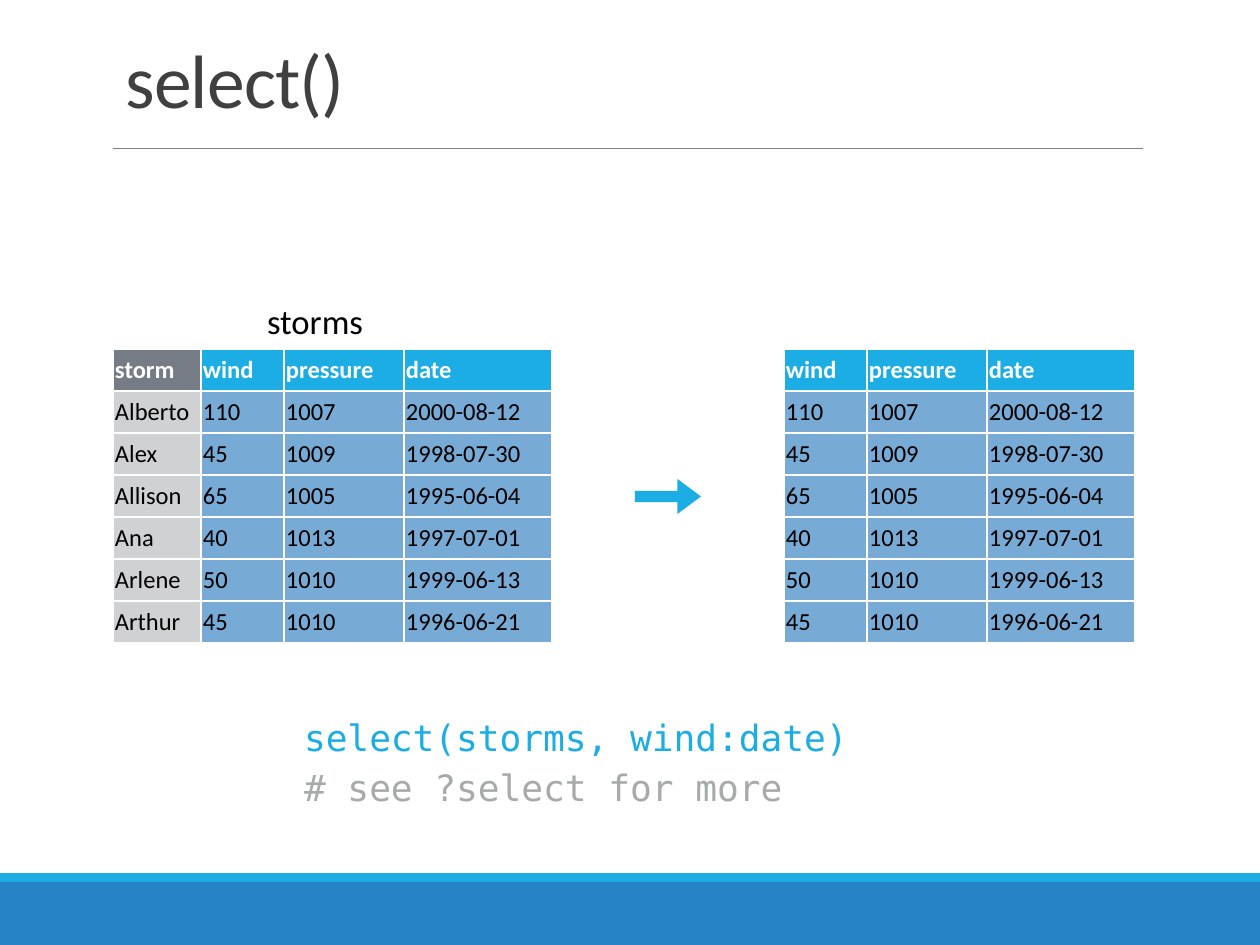
from lxml.etree import SubElement
from pptx import Presentation
from pptx.dml.color import RGBColor
from pptx.enum.shapes import MSO_CONNECTOR, MSO_SHAPE
from pptx.enum.text import MSO_ANCHOR, PP_ALIGN
from pptx.oxml.ns import qn
from pptx.util import Emu, Pt

EMU_PER_PX = 914400 / 126
SANS, MONO = "Calibri", "DejaVu Sans Mono"
CYAN, BLUE, PALE_BLUE = "1CADE4", "2683C6", "78AAD6"
DARK_GRAY, PALE_GRAY = "767C85", "D0D1D2"
WHITE, BLACK = "FFFFFF", "000000"

COLUMN_WIDTHS = [88, 83, 120, 148]
ROW_HEIGHT = 42
STORMS = [
    ["storm", "wind", "pressure", "date"],
    ["Alberto", "110", "1007", "2000-08-12"],
    ["Alex", "45", "1009", "1998-07-30"],
    ["Allison", "65", "1005", "1995-06-04"],
    ["Ana", "40", "1013", "1997-07-01"],
    ["Arlene", "50", "1010", "1999-06-13"],
    ["Arthur", "45", "1010", "1996-06-21"],
]


def px(length):
    return Emu(round(length * EMU_PER_PX))


def color(value):
    return RGBColor.from_string(value)


def add_span(para, text, size, font, ink, bold=False):
    span = para.add_run()
    span.text = text
    span.font.size = Pt(size)
    span.font.name = font
    span.font.bold = bold
    span.font.color.rgb = color(ink)
    return span


def add_block(page, kind, left, top, width, height, fill):
    block = page.shapes.add_shape(kind, px(left), px(top), px(width), px(height))
    block.shadow.inherit = False
    block.fill.solid()
    block.fill.fore_color.rgb = color(fill)
    block.line.fill.background()
    return block


def add_rule(page, left, right, y):
    rule = page.shapes.add_connector(
        MSO_CONNECTOR.STRAIGHT, px(left), px(y), px(right), px(y))
    rule.line.color.rgb = color("808080")
    rule.line.width = Pt(0.5)
    SubElement(rule._element.spPr, qn("a:effectLst"))


def add_text_frame(page, left, top, width, height, anchor, inset=None):
    box = page.shapes.add_textbox(px(left), px(top), px(width), px(height))
    frame = box.text_frame
    frame.word_wrap = True
    frame.vertical_anchor = anchor
    if inset is not None:
        frame.margin_left = frame.margin_right = px(inset)
        frame.margin_top = frame.margin_bottom = px(inset)
    return frame


def style_cell(cell, text, fill, ink, bold):
    cell.vertical_anchor = MSO_ANCHOR.MIDDLE
    cell.margin_left = cell.margin_right = px(2)
    cell.margin_top = cell.margin_bottom = px(2)
    para = cell.text_frame.paragraphs[0]
    para.alignment = PP_ALIGN.LEFT
    add_span(para, text, 14, SANS, ink, bold)
    # Borders must come before the fill in the cell properties
    properties = cell._tc.get_or_add_tcPr()
    for side in ("lnL", "lnR", "lnT", "lnB"):
        border = SubElement(properties, qn(f"a:{side}"), w=str(Pt(1)))
        paint = SubElement(border, qn("a:solidFill"))
        SubElement(paint, qn("a:srgbClr"), val=WHITE)
    cell.fill.solid()
    cell.fill.fore_color.rgb = color(fill)


def add_data_table(page, left, top, rows, widths, dropped=None):
    """Draw rows under a header; the dropped column is gray."""
    table = page.shapes.add_table(
        len(rows), len(widths), px(left), px(top),
        px(sum(widths)), px(ROW_HEIGHT * len(rows))).table
    for column, width in zip(table.columns, widths):
        column.width = px(width)
    for r, values in enumerate(rows):
        table.rows[r].height = px(ROW_HEIGHT)
        header = r == 0
        for c, text in enumerate(values):
            if c == dropped:
                fill = DARK_GRAY if header else PALE_GRAY
            else:
                fill = CYAN if header else PALE_BLUE
            style_cell(table.cell(r, c), text, fill,
                       WHITE if header else BLACK, header)


def add_title(page):
    frame = add_text_frame(page, 113, 39, 1040, 91, MSO_ANCHOR.BOTTOM)
    para = frame.paragraphs[0]
    para.line_spacing = 0.85
    span = add_span(para, "select()", 43.2, SANS, "404040")
    span._r.get_or_add_rPr().set("spc", "-50")


def add_table_label(page):
    frame = add_text_frame(page, 263, 300, 121, 47, MSO_ANCHOR.MIDDLE, inset=4)
    para = frame.paragraphs[0]
    para.line_spacing = 0.9
    add_span(para, "storms", 19.8, SANS, BLACK)


def add_code(page):
    frame = add_text_frame(page, 300, 711, 660, 110, MSO_ANCHOR.TOP, inset=4)
    lines = [("select(storms, wind:date)", CYAN),
             ("# see ?select for more", "A6AAA9")]
    for i, (text, ink) in enumerate(lines):
        para = frame.add_paragraph() if i else frame.paragraphs[0]
        para.space_before = Pt(4.1)
        add_span(para, text, 20.7, MONO, ink)


def main():
    deck = Presentation()
    deck.slide_width, deck.slide_height = px(1260), px(945)
    page = deck.slides.add_slide(deck.slide_layouts[6])

    # Footer bands and title rule
    add_block(page, MSO_SHAPE.RECTANGLE, 0, 882, 1260, 63, BLUE)
    add_block(page, MSO_SHAPE.RECTANGLE, 0, 873, 1260, 9, CYAN)
    add_rule(page, 113, 1143, 148)
    add_title(page)

    # Full table, and the same table without its first column
    add_table_label(page)
    add_data_table(page, 113, 349, STORMS, COLUMN_WIDTHS, dropped=0)
    add_data_table(page, 784, 349, [row[1:] for row in STORMS],
                   COLUMN_WIDTHS[1:])
    arrow = add_block(page, MSO_SHAPE.RIGHT_ARROW, 635, 479, 66, 35, CYAN)
    arrow.adjustments[0] = 0.32
    arrow.adjustments[1] = 0.67

    # Code example
    add_code(page)
    deck.save("out.pptx")


if __name__ == "__main__":
    main()
